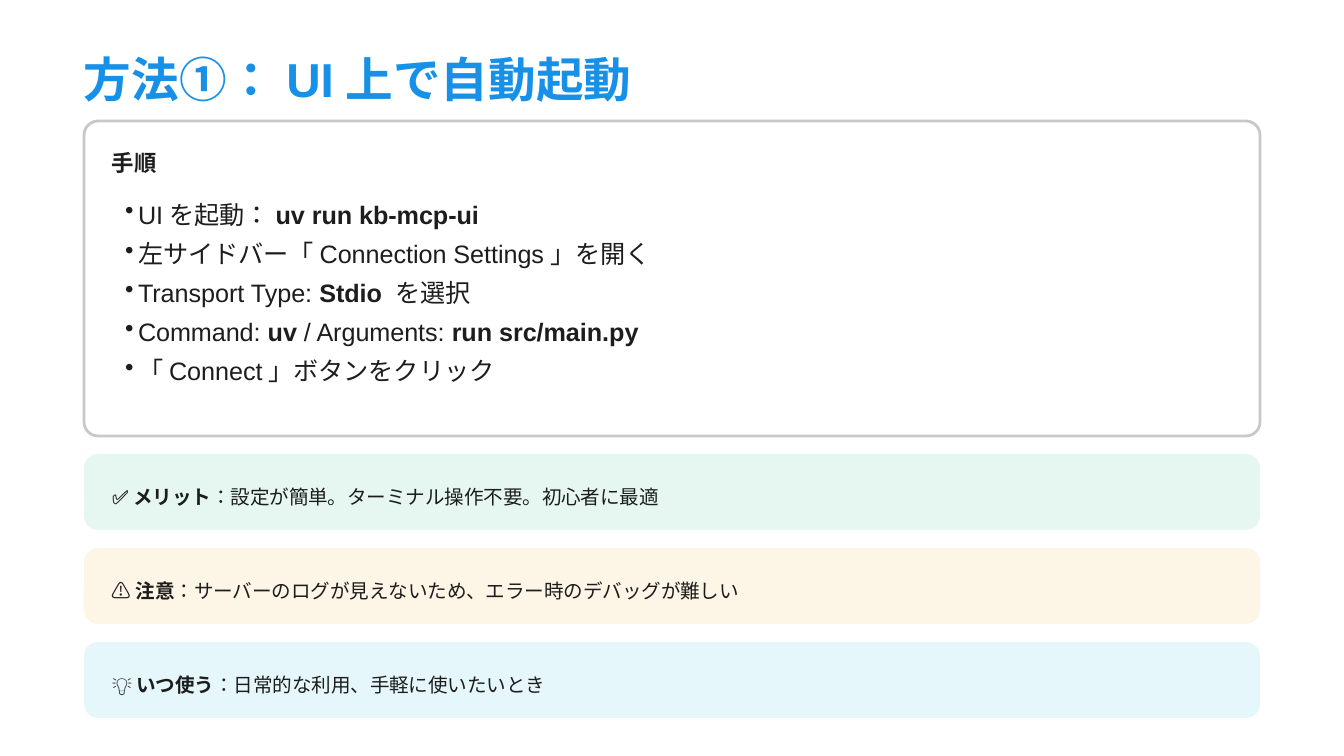
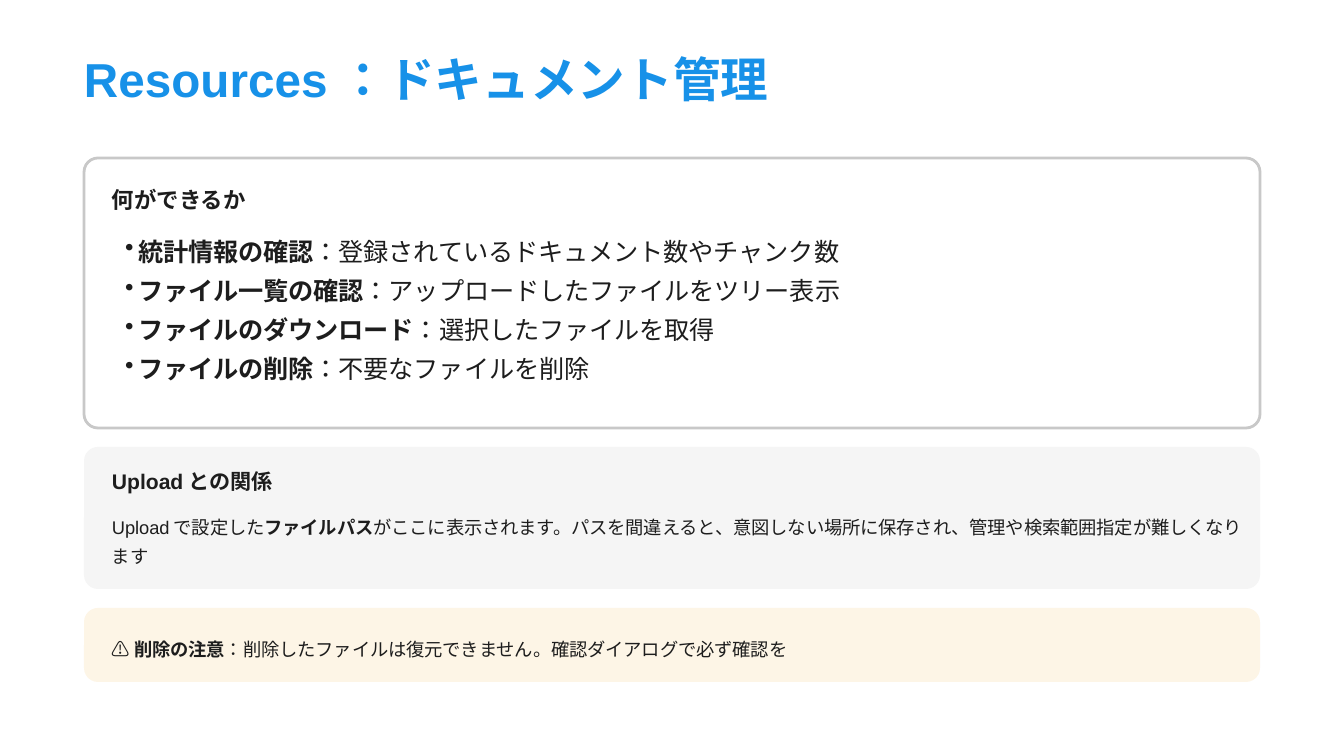
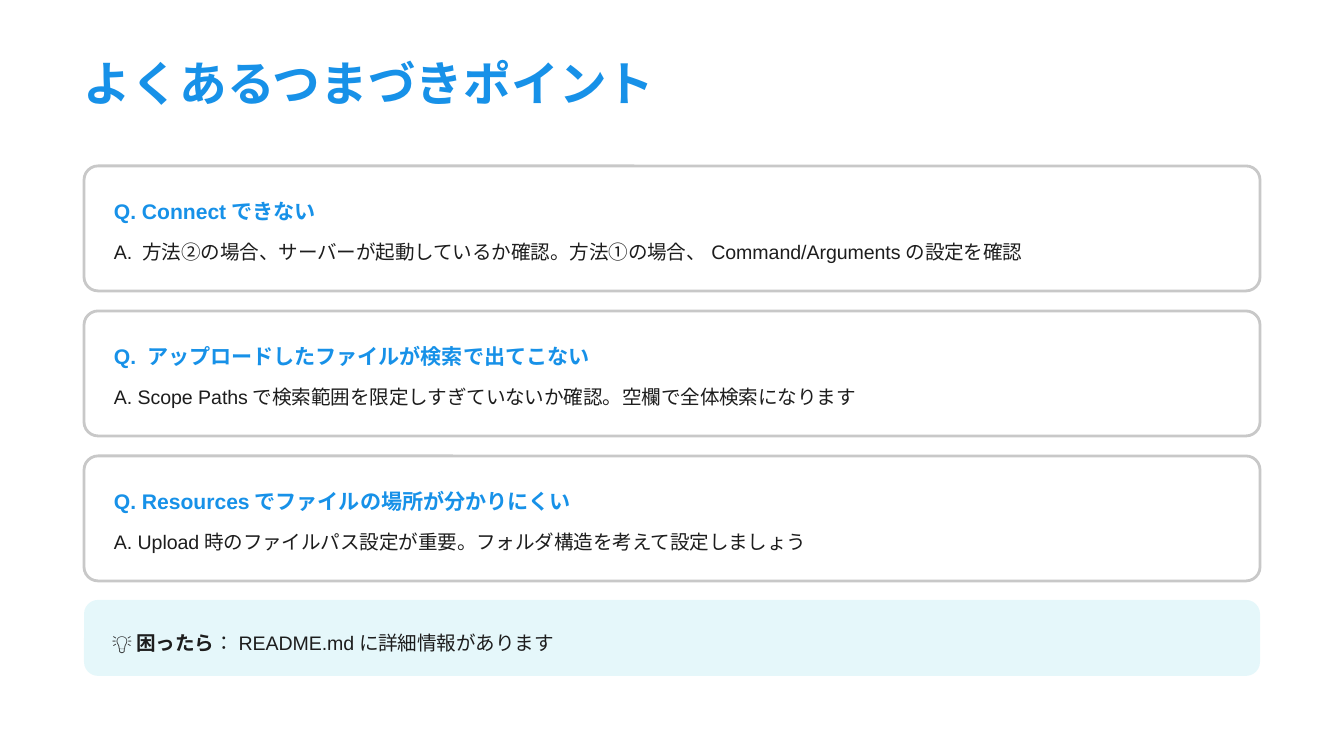
from lxml.etree import SubElement
from pptx import Presentation
from pptx.dml.color import RGBColor
from pptx.enum.lang import MSO_LANGUAGE_ID as Language
from pptx.enum.shapes import MSO_SHAPE as Preset
from pptx.oxml.ns import qn
from pptx.util import Emu, Pt

COLORS = {
    "accent": "1791E8",
    "ink": "1D1D1D",
    "white": "FFFFFF",
    "border": "C8C8C8",
    "panel": "F5F5F5",
    "merit": "10B981",
    "caution": "F59E0B",
    "hint": "06B6D4",
}
FONT = "Arial"
PX_PER_INCH = 134.4
LEFT, WIDTH = 84, 1176
RADIUS = 14
PAD = 28
TEXT_WIDTH = 1142
BULLET_INDENT = 13
LIST_LINE = 39.2


def px(length):
    """Turn pixels into EMU."""
    return Emu(round(length * 914400 / PX_PER_INCH))


def rgb(name):
    """Look up a palette colour."""
    return RGBColor.from_string(COLORS[name])


def add_bullet(paragraph):
    """Give a paragraph a hanging round bullet."""
    properties = paragraph._p.get_or_add_pPr()
    properties.set("marL", str(px(BULLET_INDENT)))
    properties.set("indent", str(-px(BULLET_INDENT)))
    SubElement(properties, qn("a:buChar")).set("char", "•")


def add_text(slide, box, lines, size, leading, color="ink", after=0, bulleted=False):
    """Write lines of text, where ** switches bold on and off."""
    frame = slide.shapes.add_textbox(*map(px, box)).text_frame
    frame.word_wrap = True
    frame.margin_top = frame.margin_right = frame.margin_bottom = 0
    frame.margin_left = px(BULLET_INDENT) if bulleted else 0
    for index, line in enumerate(lines):
        paragraph = frame.paragraphs[0] if index == 0 else frame.add_paragraph()
        paragraph.line_spacing = Pt(leading)
        if after:
            paragraph.space_after = Pt(after)
        if bulleted:
            add_bullet(paragraph)
        for position, words in enumerate(line.split("**")):
            if words:
                run = paragraph.add_run()
                run.text = words
                run.font.name = FONT
                run.font.size = Pt(size)
                run.font.bold = position % 2 == 1
                run.font.color.rgb = rgb(color)
                run.font.language_id = Language.JAPANESE


def add_panel(slide, top, height, fill, border=None, opacity=None):
    """Draw a full-width rounded panel."""
    panel = slide.shapes.add_shape(
        Preset.ROUNDED_RECTANGLE, *map(px, (LEFT, top, WIDTH, height)))
    panel.adjustments[0] = RADIUS / height
    panel.shadow.inherit = False
    panel.fill.solid()
    panel.fill.fore_color.rgb = rgb(fill)
    if opacity:
        tint = panel._element.spPr.find(qn("a:solidFill"))[0]
        SubElement(tint, qn("a:alpha")).set("val", str(opacity * 1000))
    if border:
        panel.line.color.rgb = rgb(border)
        panel.line.width = Pt(1.5)
    else:
        panel.line.fill.background()


def add_title(slide, title, top=59, width=601, after=15):
    """Write the slide title."""
    add_text(slide, (LEFT, top, width, 47), [f"**{title}**"], 25.5, 25.5,
             "accent", after)


def add_list_card(slide, top, height, heading, items):
    """Build a bordered card with a heading and a bulleted list."""
    add_panel(slide, top, height, "white", "border")
    left = LEFT + PAD
    add_text(slide, (left, top + 28, TEXT_WIDTH, 27), [f"**{heading}**"], 12, 14.4,
             after=7.5)
    add_text(slide, (left, top + 69, 1120, round(len(items) * LIST_LINE + 20)),
             items, 13.5, 21, bulleted=True)


def add_callout(slide, top, kind, message, height=76, size=10.5, leading=16.8):
    """Build a tinted one-line callout."""
    add_panel(slide, top, height, kind, opacity=10)
    add_text(slide, (LEFT + PAD, top + 23, TEXT_WIDTH, 31), [message], size, leading)


def add_note(slide, top, heading, body):
    """Build a grey note with a heading and body text."""
    add_panel(slide, top, 142, "panel")
    left = LEFT + PAD
    add_text(slide, (left, top + 22, TEXT_WIDTH, 25), [f"**{heading}**"], 11.25, 13.5,
             after=7.5)
    add_text(slide, (left, top + 62, TEXT_WIDTH, 58), [body], 9.75, 15.6)


def add_question_card(slide, top, question, answer):
    """Build a bordered card with a question and its answer."""
    add_panel(slide, top, 125, "white", "border")
    left = LEFT + 30
    add_text(slide, (left, top + 28, 1137, 29), [f"**Q. {question}**"], 11.25, 15.75,
             "accent", 4.5)
    add_text(slide, (left, top + 66, 1137, 31), [f"A. {answer}"], 10.5, 16.8)


def build_startup(slide):
    """Show how to start the server from the UI."""
    add_title(slide, "方法①：UI上で自動起動")
    add_list_card(slide, 121, 315, "手順", [
        "UIを起動：**uv run kb-mcp-ui**",
        "左サイドバー「Connection Settings」を開く",
        "Transport Type: **Stdio** を選択",
        "Command: **uv** / Arguments: **run src/main.py**",
        "「Connect」ボタンをクリック",
    ])
    callouts = [
        ("merit", "✅ **メリット**：設定が簡単。ターミナル操作不要。初心者に最適"),
        ("caution", "⚠️ **注意**：サーバーのログが見えないため、エラー時のデバッグが難しい"),
        ("hint", "💡 **いつ使う**：日常的な利用、手軽に使いたいとき"),
    ]
    for row, (kind, message) in enumerate(callouts):
        add_callout(slide, 454 + 94 * row, kind, message)


def build_resources(slide):
    """Show what document management offers."""
    add_title(slide, "Resources：ドキュメント管理", width=692)
    add_list_card(slide, 158, 270, "何ができるか", [
        "**統計情報の確認**：登録されているドキュメント数やチャンク数",
        "**ファイル一覧の確認**：アップロードしたファイルをツリー表示",
        "**ファイルのダウンロード**：選択したファイルを取得",
        "**ファイルの削除**：不要なファイルを削除",
    ])
    add_note(slide, 447, "Uploadとの関係",
             "Uploadで設定した**ファイルパス**がここに表示されます。"
             "パスを間違えると、意図しない場所に保存され、"
             "管理や検索範囲指定が難しくなります")
    add_callout(slide, 608, "caution",
                "⚠️ **削除の注意**：削除したファイルは復元できません。"
                "確認ダイアログで必ず確認を", 74, 9.75, 15.6)


def build_pitfalls(slide):
    """Answer the common stumbling points."""
    add_title(slide, "よくあるつまづきポイント", top=63, after=16.5)
    questions = [
        ("Connectできない",
         "方法②の場合、サーバーが起動しているか確認。"
         "方法①の場合、Command/Argumentsの設定を確認"),
        ("アップロードしたファイルが検索で出てこない",
         "Scope Pathsで検索範囲を限定しすぎていないか確認。空欄で全体検索になります"),
        ("Resourcesでファイルの場所が分かりにくい",
         "Upload時のファイルパス設定が重要。フォルダ構造を考えて設定しましょう"),
    ]
    for row, (question, answer) in enumerate(questions):
        add_question_card(slide, 166 + 145 * row, question, answer)
    add_callout(slide, 600, "hint", "💡 **困ったら**：README.mdに詳細情報があります")


def main():
    """Build and save the deck."""
    deck = Presentation()
    deck.slide_width, deck.slide_height = px(1344), px(756)
    for build in (build_startup, build_resources, build_pitfalls):
        slide = deck.slides.add_slide(deck.slide_layouts[6])
        slide.background.fill.solid()
        slide.background.fill.fore_color.rgb = rgb("white")
        build(slide)
    deck.save("out.pptx")


if __name__ == "__main__":
    main()
